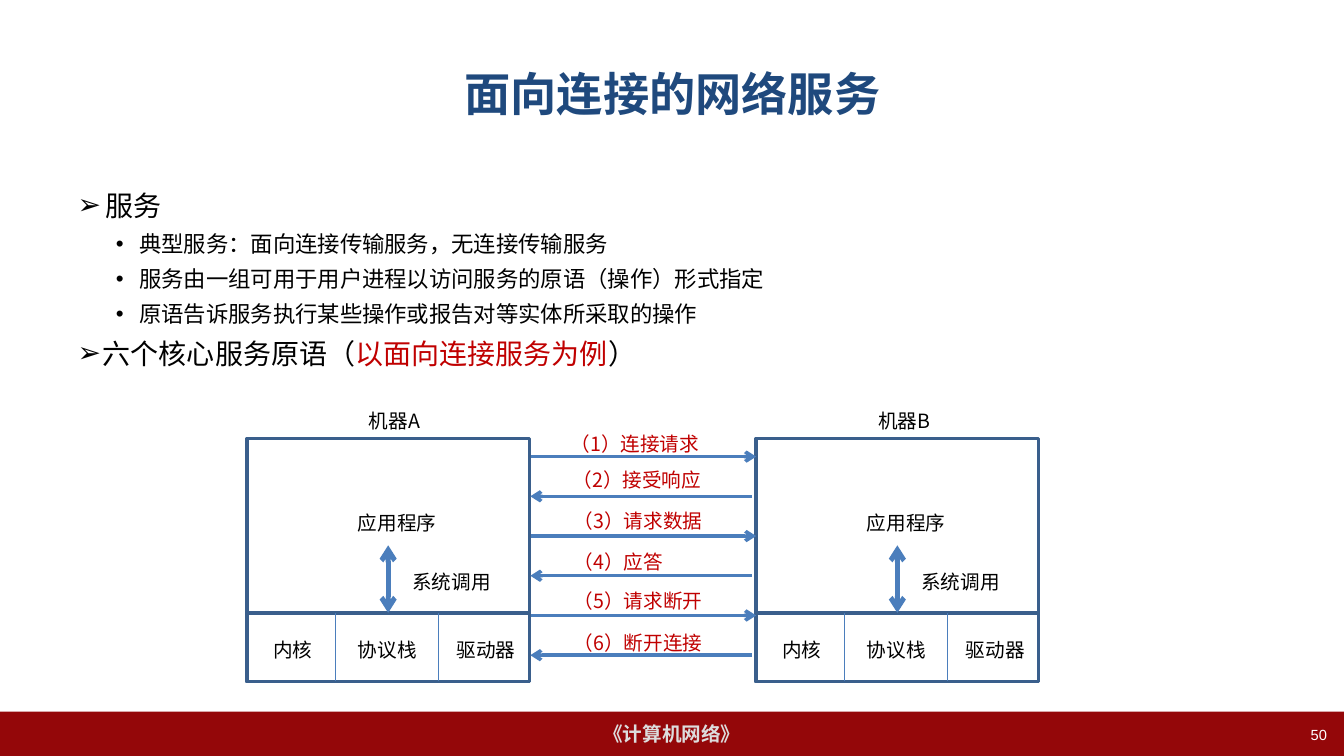
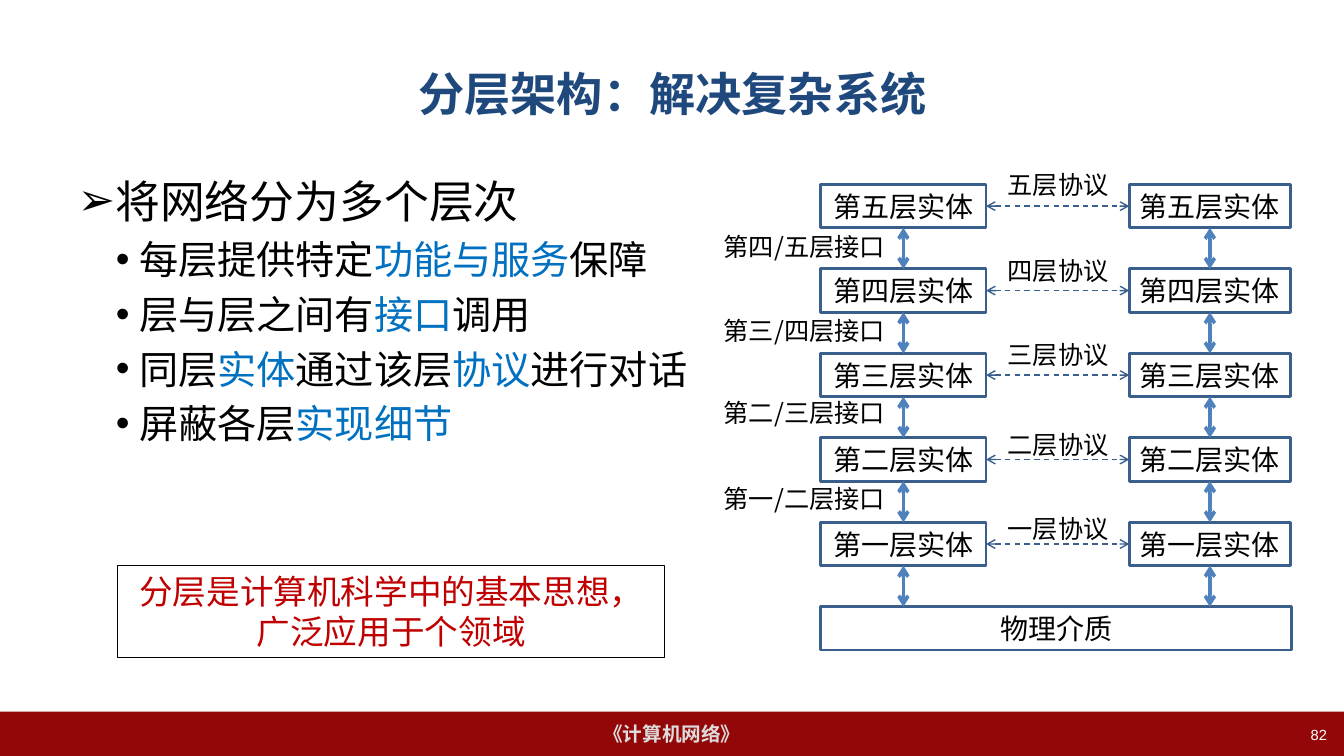
from dataclasses import dataclass
from typing import NamedTuple, Optional

from lxml import etree
from pptx import Presentation
from pptx.dml.color import RGBColor
from pptx.enum.dml import MSO_LINE
from pptx.enum.shapes import MSO_CONNECTOR, MSO_SHAPE
from pptx.enum.text import MSO_ANCHOR, MSO_AUTO_SIZE, PP_ALIGN
from pptx.oxml.ns import qn
from pptx.util import Inches, Pt

STRAIGHT = MSO_CONNECTOR.STRAIGHT
RECTANGLE = MSO_SHAPE.RECTANGLE
LEFT, CENTER, RIGHT = PP_ALIGN.LEFT, PP_ALIGN.CENTER, PP_ALIGN.RIGHT
TOP, MIDDLE = MSO_ANCHOR.TOP, MSO_ANCHOR.MIDDLE
FIXED, GROW = MSO_AUTO_SIZE.NONE, MSO_AUTO_SIZE.SHAPE_TO_FIT_TEXT
DASH = MSO_LINE.DASH
SIDE_TOP, SIDE_LEFT, SIDE_BOTTOM, SIDE_RIGHT = range(4)


@dataclass(frozen=True)
class Theme:
    width: float = 13.33
    height: float = 7.5
    heading_font: str = "Arial"
    label_font: str = "Noto Sans CJK SC"
    title: str = "1F497D"
    band: str = "940709"
    footer: str = "DDDDDD"
    white: str = "FFFFFF"
    black: str = "000000"
    red: str = "C00000"
    blue: str = "0070C0"
    outline: str = "3A5F8C"
    message: str = "4B7EBC"
    interface: str = "4F81BD"
    title_size: float = 33
    entity_size: float = 20
    callout_size: float = 24
    layer_size: float = 18
    label_size: float = 14
    number_size: float = 10.5


THEME = Theme()


class Area(NamedTuple):
    left: float
    top: float
    width: float
    height: float


class Span(NamedTuple):
    text: str
    color: str = THEME.black


class Item(NamedTuple):
    spans: list[Span]
    size: float
    level: int = 0
    indent: float = 0.28
    space: float = 0


class Message(NamedTuple):
    text: str
    left: float
    top: float


# Text and shape helpers
def place(shape, area: Area) -> None:
    shape.left, shape.top, shape.width, shape.height = map(Inches, area)


def add_span(para, text: str, *, size: float, color: str, font: str, bold: bool = False) -> None:
    span = para.add_run()
    span.text = text
    span.font.size, span.font.name, span.font.bold = Pt(size), font, bold
    span.font.color.rgb = RGBColor.from_string(color)


def write(shape, text: str, *, size: float, color: str = THEME.black, font: str = THEME.label_font,
          bold: bool = False, align=LEFT, anchor=TOP, wrap: bool = True, fit=FIXED) -> None:
    frame = shape.text_frame
    frame.word_wrap, frame.auto_size, frame.vertical_anchor = wrap, fit, anchor
    for index, line in enumerate(text.split("\n")):
        para = frame.add_paragraph() if index else frame.paragraphs[0]
        para.alignment = align
        add_span(para, line, size=size, color=color, font=font, bold=bold)


def add_label(page, text: str, area: Area, **style):
    box = page.shapes.add_textbox(*map(Inches, area))
    write(box, text, **{"size": THEME.label_size, "fit": GROW, **style})
    return box


def add_box(page, area: Area, *, fill: str = THEME.white, line: Optional[str] = THEME.outline,
            weight: float = 2):
    box = page.shapes.add_shape(RECTANGLE, *map(Inches, area))
    box.shadow.inherit = False
    box.fill.solid()
    box.fill.fore_color.rgb = RGBColor.from_string(fill)
    if line:
        box.line.color.rgb = RGBColor.from_string(line)
        box.line.width = Pt(weight)
    else:
        box.line.fill.background()
    return box


def add_line(page, start: tuple[float, float], end: tuple[float, float], *, color: str,
             weight: float, head: bool = False, tail: bool = False, dash=None):
    line = page.shapes.add_connector(STRAIGHT, *map(Inches, (*start, *end)))
    line.line.color.rgb = RGBColor.from_string(color)
    line.line.width = Pt(weight)
    if dash:
        line.line.dash_style = dash
    outline = line.line.fill and line.element.spPr.find(qn("a:ln"))
    for tag, wanted in (("a:headEnd", head), ("a:tailEnd", tail)):
        if wanted:
            etree.SubElement(outline, qn(tag), type="arrow")
    etree.SubElement(line.element.spPr, qn("a:effectLst"))
    return line


def fill_body(page, area: Area, items: list[Item], line_spacing: float) -> None:
    body = page.placeholders[1]
    place(body, area)
    frame = body.text_frame
    frame.auto_size = FIXED
    for index, item in enumerate(items):
        para = frame.add_paragraph() if index else frame.paragraphs[0]
        para.level, para.alignment = item.level, LEFT
        para.line_spacing, para.space_before = line_spacing, Pt(item.space)
        margin, hanging = (0.61, 0.23) if item.level else (item.indent, item.indent)
        props = para._p.get_or_add_pPr()
        props.set("marL", str(Inches(margin)))
        props.set("indent", str(-Inches(hanging)))
        etree.SubElement(props, qn("a:buFont"), typeface=THEME.heading_font)
        etree.SubElement(props, qn("a:buChar"), char="•" if item.level else "➢")
        for text, color in item.spans:
            add_span(para, text, size=item.size, color=color, font=THEME.heading_font)


# Parts shared by the slides
def add_page(deck, title: str, number: int):
    page = deck.slides.add_slide(deck.slide_layouts[1])
    place(page.shapes.title, Area(0.67, 0.3, 12, 1.25))
    write(page.shapes.title, title, size=THEME.title_size, color=THEME.title,
          font=THEME.heading_font, bold=True, align=CENTER, anchor=MIDDLE)
    add_label(page, str(number), Area(10.15, 7.15, 3.11, 0.35), size=THEME.number_size,
              color=THEME.white, font=THEME.heading_font, align=RIGHT, fit=FIXED)
    return page


def add_master_band(deck, page) -> None:
    band = add_box(page, Area(0, 7.06, THEME.width, 0.44), fill=THEME.band, line=None)
    write(band, "《计算机网络》", size=THEME.label_size, color=THEME.footer,
          font=THEME.heading_font, bold=True, align=CENTER, anchor=MIDDLE, wrap=False)
    deck.slide_master.element.cSld.spTree.append(band.element)


# Connection-oriented service
def add_machine(page, name: str, left: float) -> None:
    top, split, bottom = 4.35, 6.08, 6.76
    add_box(page, Area(left, top, 2.8, bottom - top), weight=2.5)
    kernel = add_box(page, Area(left, split, 2.8, bottom - split), weight=2.5)
    call = add_line(page, (left + 1.4, 5.41), (left + 1.4, split), color=THEME.message,
                    weight=3.5, head=True, tail=True)
    call.end_connect(kernel, SIDE_TOP)
    for offset in (0.88, 1.9):
        add_line(page, (left + offset, split), (left + offset, bottom),
                 color=THEME.message, weight=0.75)
    for text, offset, label_top, width in (
            (name, 1.11, 4.01, 0.79), ("应用程序", 1, 5.02, 1.59), ("系统调用", 1.54, 5.6, 1.06),
            ("内核", 0.16, 6.28, 0.62), ("协议栈", 1, 6.28, 0.79), ("驱动器", 1.98, 6.28, 0.81)):
        add_label(page, text, Area(left + offset, label_top, width, 0.34))


def build_service_page(deck):
    page = add_page(deck, "面向连接的网络服务", 50)
    details = ("典型服务：面向连接传输服务，无连接传输服务",
               "服务由一组可用于用户进程以访问服务的原语（操作）形式指定",
               "原语告诉服务执行某些操作或报告对等实体所采取的操作")
    items = [Item([Span("服务")], 20),
             *(Item([Span(text)], 16, level=1, space=2) for text in details),
             Item([Span("六个核心服务原语（"), Span("以面向连接服务为例", THEME.red), Span("）")],
                  20, indent=0.25, space=2)]
    fill_body(page, Area(0.67, 1.75, 12, 4.95), items, 1.2)
    for name, left in (("机器A", 2.45), ("机器B", 7.5)):
        add_machine(page, name, left)
    messages = (Message("（1）连接请求", 5.56, 4.24), Message("（2）接受响应", 5.58, 4.59),
                Message("（3）请求数据", 5.59, 5), Message("（4）应答", 5.59, 5.41),
                Message("（5）请求断开", 5.59, 5.79), Message("（6）断开连接", 5.59, 6.21))
    first, last = 4.53, 6.5
    for index, message in enumerate(messages):
        y = first + index * (last - first) / (len(messages) - 1)
        start, end = ((7.46, y), (5.26, y)) if index % 2 else ((5.27, y), (7.5, y))
        add_line(page, start, end, color=THEME.message, weight=2.5, tail=True)
        add_label(page, message.text, Area(message.left, message.top, 1.59, 0.34), color=THEME.red)
    return page


# Layered architecture
def add_entity(page, text: str, area: Area):
    box = add_box(page, area)
    write(box, text, size=THEME.entity_size, align=CENTER, anchor=MIDDLE)
    return box


def add_layers(page) -> None:
    top, bottom, height = 1.83, 6.02, 0.43
    layers = "五四三二一"
    pitch = (bottom - top) / len(layers)
    tops = [top + row * pitch for row in range(len(layers))]
    medium = add_entity(page, "物理介质", Area(8.14, bottom, 4.67, height))
    stacks = []
    for left, width in ((8.14, 1.64), (11.2, 1.6)):
        stack = [add_entity(page, f"第{layer}层实体", Area(left, y, width, height))
                 for layer, y in zip(layers, tops)]
        stacks.append(stack)
        middle = left + width / 2
        for upper, lower, y in zip(stack, [*stack[1:], medium], tops):
            arrow = add_line(page, (middle, y + height), (middle, y + pitch),
                             color=THEME.interface, weight=2.5, head=True, tail=True)
            arrow.begin_connect(upper, SIDE_BOTTOM)
            if lower is not medium:
                arrow.end_connect(lower, SIDE_TOP)
    for upper, lower, y in zip(layers, layers[1:], (2.25, 3.08, 3.89, 4.75)):
        add_label(page, f"第{lower}/{upper}层接口", Area(7.08, y, 1.86, 0.4), size=THEME.layer_size)
    label_tops = (1.63, 2.48, 3.32, 4.21, 5.04)
    for layer, near, far, y, label_top in zip(layers, *stacks, tops, label_tops):
        middle = y + height / 2
        link = add_line(page, (9.78, middle), (11.2, middle), color=THEME.outline, weight=1,
                        head=True, tail=True, dash=DASH)
        link.begin_connect(near, SIDE_RIGHT)
        link.end_connect(far, SIDE_LEFT)
        add_label(page, f"{layer}层协议", Area(9.86, label_top, 1.27, 0.4),
                  size=THEME.layer_size, align=CENTER)


def build_layer_page(deck):
    page = add_page(deck, "分层架构：解决复杂系统", 82)
    blue = THEME.blue
    details = ([Span("每层提供特定"), Span("功能与服务", blue), Span("保障")],
               [Span("层与层之间有"), Span("接口", blue), Span("调用")],
               [Span("同层"), Span("实体", blue), Span("通过该层"), Span("协议", blue),
                Span("进行对话")],
               [Span("屏蔽各层"), Span("实现细节", blue)])
    items = [Item([Span("将网络分为多个层次")], 32),
             *(Item(spans, 28, level=1, space=5.6) for spans in details)]
    fill_body(page, Area(0.67, 1.67, 6.32, 4.17), items, 1)
    add_layers(page)
    callout = add_label(page, "分层是计算机科学中的基本思想，\n广泛应用于个领域",
                        Area(1.17, 5.61, 5.42, 0.91), size=THEME.callout_size,
                        color=THEME.red, align=CENTER)
    callout.line.color.rgb = RGBColor.from_string(THEME.black)
    callout.line.width = Pt(0.75)


def main() -> None:
    deck = Presentation()
    deck.slide_width, deck.slide_height = Inches(THEME.width), Inches(THEME.height)
    add_master_band(deck, build_service_page(deck))
    build_layer_page(deck)
    deck.save("out.pptx")


if __name__ == "__main__":
    main()
